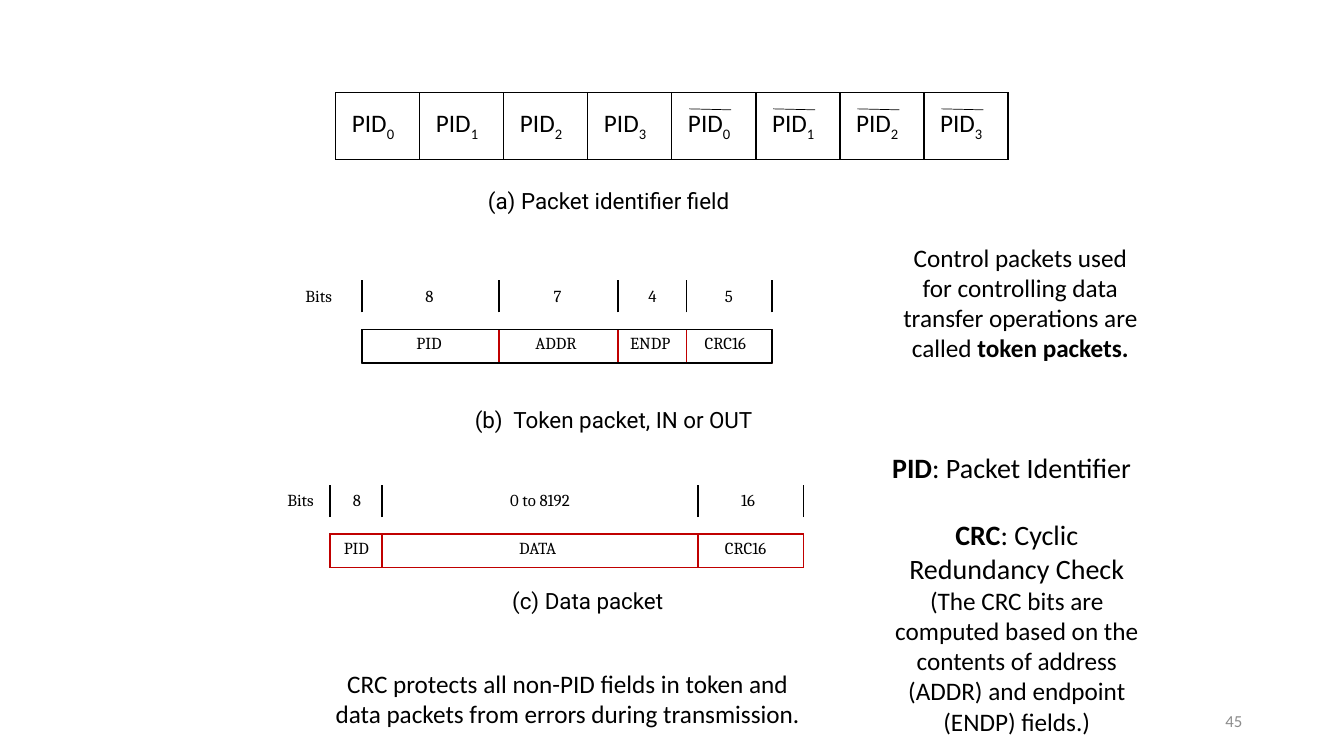
from lxml import etree
from pptx import Presentation
from pptx.dml.color import RGBColor
from pptx.enum.shapes import MSO_CONNECTOR as CONN, MSO_SHAPE as SHAPE
from pptx.enum.text import MSO_ANCHOR as ANCHOR, PP_ALIGN as ALIGN
from pptx.oxml.ns import qn
from pptx.util import Inches, Pt

BLACK, RED, GREY = "000000", "C00000", "8C8C8C"
INSET_X, INSET_Y = 0.1, 0.05


def rgb(hex_color):
    return RGBColor.from_string(hex_color)


def add_run(p, text, size=18, font="Calibri", color=BLACK, bold=False, sub=False):
    r = p.add_run()
    r.text = text
    r.font.size, r.font.name, r.font.bold = Pt(size), font, bold
    r.font.color.rgb = rgb(color)
    if sub:
        r.font._element.set("baseline", "-25000")


def add_text(slide, box, paragraphs, inset=True, align=ALIGN.CENTER,
             anchor=ANCHOR.TOP, **fmt):
    """Place paragraphs, each a list of (text, format overrides) runs."""
    tf = slide.shapes.add_textbox(*map(Inches, box)).text_frame
    tf.word_wrap, tf.vertical_anchor = True, anchor
    tf.margin_left = tf.margin_right = Inches(INSET_X * inset)
    tf.margin_top = tf.margin_bottom = Inches(INSET_Y * inset)
    for i, runs in enumerate(paragraphs):
        p = tf.add_paragraph() if i else tf.paragraphs[0]
        p.alignment = align
        for text, own in runs:
            add_run(p, text, **{**fmt, **own})
    return tf


def add_label(slide, x, y, text, width=1, size=12, font="Cambria"):
    add_text(slide, (x, y, width, size / 60), [[(text, {})]], inset=False,
             align=ALIGN.LEFT, size=size, font=font)


def add_caption(slide, x, y, text):
    add_label(slide, x, y, text, width=3.2, size=16, font="Roboto")


def add_line(slide, x1, y1, x2, y2, weight):
    c = slide.shapes.add_connector(CONN.STRAIGHT, *map(Inches, (x1, y1, x2, y2)))
    c.line.color.rgb, c.line.width = rgb(BLACK), Pt(weight)
    etree.SubElement(c._element.spPr, qn("a:effectLst"))


def add_frame(slide, box, color):
    sp = slide.shapes.add_shape(SHAPE.RECTANGLE, *map(Inches, box))
    sp.shadow.inherit = False
    sp.fill.background()
    sp.line.color.rgb, sp.line.width = rgb(color), Pt(1.25)


def add_borders(cell, color, weight):
    tcPr = cell._tc.get_or_add_tcPr()
    for i, side in enumerate(("lnL", "lnR", "lnT", "lnB")):
        ln = etree.Element(qn("a:" + side), w=str(Pt(weight)))
        fill = etree.SubElement(ln, qn("a:solidFill"))
        etree.SubElement(fill, qn("a:srgbClr"), val=color)
        tcPr.insert(i, ln)


def identifier_field(slide, x, y, width, height):
    """PID bits 0 to 3, then the same bits complemented by an overline."""
    count = 8
    col = width / count
    table = slide.shapes.add_table(
        1, count, *map(Inches, (x, y, width, height))).table
    table.first_row = table.horz_banding = False
    for i, cell in enumerate(table.rows[0].cells):
        cell.fill.background()
        cell.vertical_anchor = ANCHOR.MIDDLE
        cell.margin_left = cell.margin_right = Inches(0.16)
        cell.margin_top = cell.margin_bottom = Inches(0.16)
        p = cell.text_frame.paragraphs[0]
        add_run(p, "PID")
        add_run(p, str(i % 4), sub=True)
        add_borders(cell, BLACK, 1)
        if i >= count // 2:
            left = x + i * col + 0.17
            add_line(slide, left, y + 0.16, left + col / 2, y + 0.17, 0.5)


def packet(slide, x, y, bits_x, outer, fields):
    """Bit-width ruler above a row of fields.

    Each field is (width, bits, bits offset, name, name offset, color).
    """
    bits_y, frame_y, height = y + 0.05, y + 0.49, 0.33
    add_label(slide, bits_x, bits_y, "Bits")
    edge = x
    for width, bits, bits_dx, name, name_dx, color in fields:
        add_frame(slide, (edge, frame_y, width, height), color)
        add_label(slide, edge + name_dx, frame_y + 0.03, name)
        add_label(slide, edge + bits_dx, bits_y, bits)
        add_line(slide, edge, y + 0.32, edge, y, 1.25)
        edge += width
    add_line(slide, edge, y + 0.32, edge, y, 1.25)
    add_frame(slide, (x, frame_y, edge - x, height), outer)


def notes_column(slide):
    bold = {"bold": True}
    add_text(slide, (8.83, 2.35, 2.58, 1.31), [[
        ("Control packets used for controlling data transfer operations "
         "are called ", {}),
        ("token packets.", bold)]])
    tf = add_text(slide, (8.75, 4.42, 2.67, 2.96), [
        [("PID", bold), (": Packet Identifier", {})],
        [("CRC", bold), (": Cyclic Redundancy Check", {})],
        [("(The CRC bits are computed based on the contents of address "
          "(ADDR) and endpoint (ENDP) fields.)", {"size": 18})]], size=20)
    tf.paragraphs[0].alignment = ALIGN.LEFT
    tf.paragraphs[0].space_after = Pt(24)


def footer(slide):
    add_text(slide, (3.17, 6.58, 4.92, 0.71), [[
        ("CRC protects all non-PID fields in token and data packets from "
         "errors during transmission.", {})]])
    add_text(slide, (9.42, 6.95, 3, 0.4), [[("45", {})]], align=ALIGN.RIGHT,
             anchor=ANCHOR.MIDDLE, size=12, color=GREY)


def main():
    prs = Presentation()
    prs.slide_width, prs.slide_height = Inches(13.33), Inches(7.5)
    slide = prs.slides.add_slide(prs.slide_layouts[6])

    identifier_field(slide, 3.33, 0.92, 6.67, 0.65)
    add_caption(slide, 4.84, 1.86, "(a) Packet identifier field")

    packet(slide, 3.59, 2.78, 3.03, BLACK, [
        (1.36, "8", 0.63, "PID", 0.54, BLACK),
        (1.18, "7", 0.54, "ADDR", 0.36, RED),
        (0.68, "4", 0.3, "ENDP", 0.12, RED),
        (0.85, "5", 0.38, "CRC16", 0.18, RED)])
    add_caption(slide, 4.71, 4.03, "(b)\u00a0 Token packet, IN or OUT".replace("\u00a0", " "))

    packet(slide, 3.27, 4.81, 2.85, RED, [
        (0.52, "8", 0.23, "PID", 0.14, BLACK),
        (3.13, "0 to 8192", 1.27, "DATA", 1.36, RED),
        (1.05, "16", 0.43, "CRC16", 0.27, RED)])
    add_caption(slide, 5.08, 5.82, "(c) Data packet")

    notes_column(slide)
    footer(slide)
    prs.save("out.pptx")


if __name__ == "__main__":
    main()
